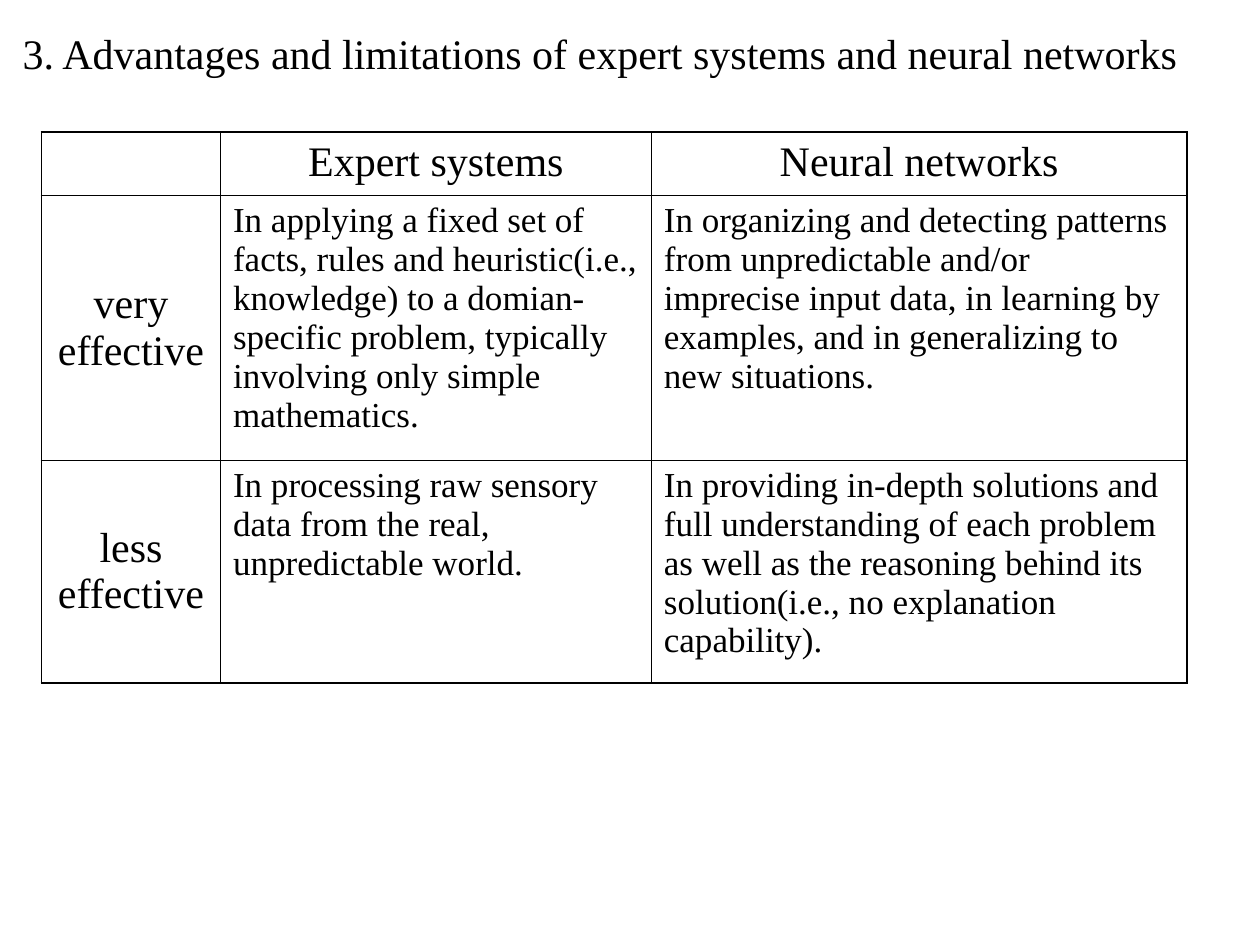
import dataclasses

import pptx
import pptx.dml.color
import pptx.enum.text
import pptx.oxml
import pptx.oxml.ns
import pptx.util
from pptx.util import Inches

Align = pptx.enum.text.PP_ALIGN
Anchor = pptx.enum.text.MSO_ANCHOR
INK = "000000"
THIN, THICK = 0.45, 1.08


@dataclasses.dataclass
class Row:
    height: float
    label: str
    texts: tuple[str, str]


COLS = (1.42, 3.42, 4.25)
ROWS = (
    Row(0.5, "", ("Expert systems", "Neural networks")),
    Row(2.1, "very effective", (
        "In applying a fixed set of facts, rules and heuristic(i.e., knowledge) "
        "to a domian-specific problem, typically involving only simple mathematics.",
        "In organizing and detecting patterns from unpredictable and/or imprecise "
        "input data, in learning by examples, and in generalizing to new situations.",
    )),
    Row(1.77, "less effective", (
        "In processing raw sensory data from the real, unpredictable world.",
        "In providing in-depth solutions and full understanding of each problem as "
        "well as the reasoning behind its solution(i.e., no explanation capability).",
    )),
)


def color(code: str) -> pptx.dml.color.RGBColor:
    return pptx.dml.color.RGBColor.from_string(code)


def write(frame, text: str, *, size: float = 24, align=Align.LEFT,
          anchor=Anchor.TOP, before: float = 0) -> None:
    frame.word_wrap = True
    frame.vertical_anchor = anchor
    para = frame.paragraphs[0]
    para.alignment = align
    para.space_before = pptx.util.Pt(before)
    run = para.add_run()
    run.text = text
    run.font.size = pptx.util.Pt(size)
    run.font.name = "Times New Roman"
    run.font.bold = False
    run.font.color.rgb = color(INK)


def border(cell, side: str, width: float) -> None:
    line = pptx.oxml.parse_xml(
        f'<a:ln{side} {pptx.oxml.ns.nsdecls("a")} w="{pptx.util.Pt(width)}">'
        f'<a:solidFill><a:srgbClr val="{INK}"/></a:solidFill></a:ln{side}>'
    )
    cell._tc.get_or_add_tcPr().append(line)


def draw(slide, rows: tuple[Row, ...]) -> None:
    frame = slide.shapes.add_table(
        len(rows), len(COLS), Inches(0.33), Inches(1.05),
        Inches(sum(COLS)), Inches(sum(row.height for row in rows)))
    table = frame.table
    table.first_row = table.horz_banding = False
    for col, width in zip(table.columns, COLS):
        col.width = Inches(width)
    for r, row in enumerate(rows):
        table.rows[r].height = Inches(row.height)
        for c, text in enumerate((row.label, *row.texts)):
            cell = table.cell(r, c)
            edges = {"L": c == 0, "R": c == len(COLS) - 1,
                     "T": r == 0, "B": r == len(rows) - 1}
            for side, outer in edges.items():
                border(cell, side, THICK if outer else THIN)
            cell.fill.background()
            cell.margin_left = cell.margin_right = Inches(0.1)
            cell.margin_top = cell.margin_bottom = Inches(0.05)
            head = r == 0 or c == 0
            if text:
                write(cell.text_frame, text, size=24 if head else 20,
                      align=Align.CENTER if head else Align.LEFT,
                      before=6 if head else 5)
            if c == 0 and r > 0:
                cell.vertical_anchor = Anchor.MIDDLE


def main() -> None:
    deck = pptx.Presentation()
    deck.slide_width, deck.slide_height = Inches(10), Inches(7.5)
    slide = deck.slides.add_slide(deck.slide_layouts[5])
    title = slide.shapes.title
    title.left, title.top = Inches(0.08), Inches(0.08)
    title.width, title.height = Inches(9.42), Inches(0.67)
    title.text_frame.auto_size = pptx.enum.text.MSO_AUTO_SIZE.NONE
    write(title.text_frame,
          "3. Advantages and limitations of expert systems and neural networks",
          anchor=Anchor.MIDDLE)
    draw(slide, ROWS)
    deck.save("out.pptx")


if __name__ == "__main__":
    main()
